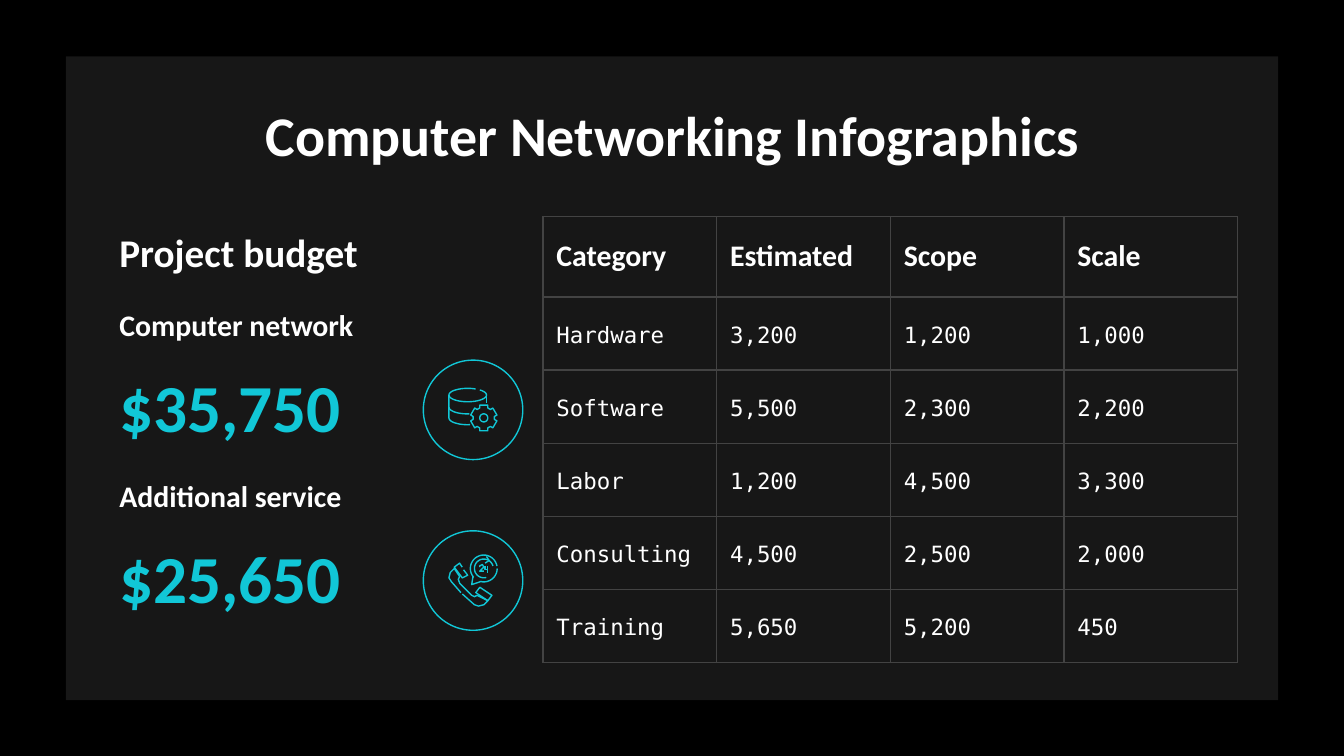
from dataclasses import dataclass
from math import asin, cos, degrees, radians, sin

from lxml import etree
from pptx import Presentation, util as u
from pptx.dml.color import RGBColor
from pptx.enum import shapes, text
from pptx.oxml.ns import qn


@dataclass(frozen=True)
class Theme:
    back: str = "000000"
    panel: str = "171717"
    ink: str = "FFFFFF"
    accent: str = "11C7D7"
    grid: str = "434343"
    head: str = "Calibri"
    body: str = "DejaVu Sans Mono"
    title: int = 30
    section: int = 21
    label: int = 16
    cell: int = 12
    figure: int = 36
    stroke: float = 0.75


def rgb(code):
    return RGBColor.from_string(code)


def arc(mid, wide, high, start, end):
    steps = max(6, int(abs(end - start) / 10))
    turns = [radians(start + (end - start) * i / steps) for i in range(steps + 1)]
    return [(mid[0] + wide * cos(t), mid[1] + high * sin(t)) for t in turns]


def gear(mid, outer, inner, half, teeth):
    pts = []
    for i in range(teeth):
        turn = 360 / teeth * i - 90
        for rad, side in ((inner, -1), (outer, -1), (outer, 1), (inner, 1)):
            t = radians(turn + side * degrees(asin(half / rad)))
            pts.append((mid[0] + rad * cos(t), mid[1] + rad * sin(t)))
    return pts


def write(frame, words, size, font, color, bold=True,
          align=text.PP_ALIGN.LEFT, lead=None, after=None):
    para = frame.paragraphs[0]
    para.alignment = align
    para.line_spacing = lead
    para.space_after = after
    run = para.add_run()
    run.text = words
    run.font.size = u.Pt(size)
    run.font.name = font
    run.font.bold = bold
    run.font.color.rgb = rgb(color)


class Deck:
    def __init__(self, theme):
        self.theme = theme
        self.file = Presentation()
        self.file.slide_width = u.Inches(10)
        self.file.slide_height = u.Inches(10 * 9 / 16)
        self.slide = self.file.slides.add_slide(self.file.slide_layouts[6])
        fill = self.slide.background.fill
        fill.solid()
        fill.fore_color.rgb = rgb(theme.back)

    def outline(self, shape):
        shape.shadow.inherit = False
        shape.fill.background()
        shape.line.color.rgb = rgb(self.theme.accent)
        shape.line.width = u.Pt(self.theme.stroke)

    def panel(self, *area):
        box = self.slide.shapes.add_shape(
            shapes.MSO_SHAPE.RECTANGLE, *map(u.Inches, area))
        box.shadow.inherit = False
        box.fill.solid()
        box.fill.fore_color.rgb = rgb(self.theme.panel)
        box.line.fill.background()

    def label(self, words, area, size, color=None,
              anchor=text.MSO_ANCHOR.BOTTOM, **form):
        frame = self.slide.shapes.add_textbox(*map(u.Inches, area)).text_frame
        frame.word_wrap = True
        frame.vertical_anchor = anchor
        frame.margin_left = frame.margin_right = u.Inches(0.1)
        frame.margin_top = frame.margin_bottom = u.Inches(0.1)
        write(frame, words, size, self.theme.head, color or self.theme.ink, **form)

    def ring(self, left, top, size):
        self.outline(self.slide.shapes.add_shape(
            shapes.MSO_SHAPE.OVAL, *map(u.Inches, (left, top, size, size))))

    def icon(self, *lines):
        group = self.slide.shapes.add_group_shape()
        for pts, close in lines:
            spots = [(u.Inches(x), u.Inches(y)) for x, y in pts]
            pen = group.shapes.build_freeform(*spots[0])
            pen.add_line_segments(spots[1:], close=close)
            self.outline(pen.convert_to_shape())

    def border(self, cell):
        props = cell._tc.get_or_add_tcPr()
        for spot, side in enumerate(("lnL", "lnR", "lnT", "lnB")):
            line = etree.Element(qn("a:" + side), w=str(u.Pt(self.theme.stroke)))
            fill = etree.SubElement(line, qn("a:solidFill"))
            etree.SubElement(fill, qn("a:srgbClr"), val=self.theme.grid)
            props.insert(spot, line)

    def table(self, rows, area, top):
        look = self.theme
        grid = self.slide.shapes.add_table(
            len(rows), len(rows[0]), *map(u.Inches, area)).table
        grid.first_row = grid.horz_banding = False
        rest = (area[3] - top) / (len(rows) - 1)
        for r, row in enumerate(rows):
            grid.rows[r].height = u.Inches(rest if r else top)
            for c, words in enumerate(row):
                cell = grid.cell(r, c)
                cell.fill.background()
                cell.vertical_anchor = text.MSO_ANCHOR.MIDDLE
                cell.margin_left = cell.margin_right = u.Inches(0.1)
                cell.margin_top = cell.margin_bottom = u.Inches(0.1)
                self.border(cell)
                if r:
                    write(cell.text_frame, words, look.cell, look.body, look.ink,
                          bold=False, lead=1.15, after=u.Pt(12))
                else:
                    write(cell.text_frame, words, look.label, look.head, look.ink)


def store(deck):
    disk, cog = (3.48, 2.94), (3.6, 3.11)
    deck.icon(
        (arc(disk, 0.14, 0.05, -50, 250), False),
        (arc(disk, 0.14, 0.05, 250, 295), False),
        ([(3.62, 2.94), (3.62, 3)], False),
        ([(3.34, 2.94)] + arc((3.48, 3.11), 0.14, 0.05, 180, 83), False),
        (arc((3.48, 3.03), 0.14, 0.05, 180, 85), False),
        (gear(cog, 0.1, 0.08, 0.03, 6), True),
        (arc(cog, 0.03, 0.03, 0, 350), True),
    )


def phone(deck):
    dial = (3.6, 4.23)
    deck.icon(
        (arc(dial, 0.1, 0.1, -10, -220)
         + [(3.52, 4.29), (3.51, 4.35), (3.57, 4.33)]
         + arc(dial, 0.1, 0.1, 105, 0), False),
        (arc(dial, 0.07, 0.07, -15, -285), False),
        ([(3.62, 4.14), (3.64, 4.17), (3.61, 4.19)], False),
        ([(3.57, 4.22), (3.57, 4.21), (3.59, 4.2), (3.6, 4.22),
          (3.57, 4.25), (3.6, 4.25)], False),
        ([(3.61, 4.21), (3.61, 4.24), (3.63, 4.24)], False),
        ([(3.63, 4.21), (3.63, 4.26)], False),
        ([(3.43, 4.41), (3.36, 4.33), (3.34, 4.3), (3.35, 4.26), (3.38, 4.23),
          (3.42, 4.29), (3.41, 4.31), (3.42, 4.34), (3.51, 4.43), (3.53, 4.44),
          (3.55, 4.43), (3.63, 4.47), (3.6, 4.5), (3.56, 4.51), (3.53, 4.5),
          (3.44, 4.42)], False),
        ([(3.44, 4.22), (3.42, 4.19), (3.38, 4.22), (3.44, 4.3),
          (3.48, 4.28), (3.45, 4.24)], False),
        ([(3.57, 4.37), (3.66, 4.43), (3.63, 4.47), (3.54, 4.41)], True),
    )


def main():
    look = Theme()
    deck = Deck(look)
    deck.panel(0.49, 0.42, 9.02, 4.79)
    deck.label("Computer Networking Infographics", (0.79, 0.65, 8.43, 0.63),
               look.title, anchor=text.MSO_ANCHOR.TOP, align=text.PP_ALIGN.CENTER)
    deck.table([
        ("Category", "Estimated", "Scope", "Scale"),
        ("Hardware", "3,200", "1,200", "1,000"),
        ("Software", "5,500", "2,300", "2,200"),
        ("Labor", "1,200", "4,500", "3,300"),
        ("Consulting", "4,500", "2,500", "2,000"),
        ("Training", "5,650", "5,200", "450"),
    ], (4.04, 1.61, 5.17, 3.32), 0.6)

    left, wide, step = 0.79, 2.37, 1.27
    deck.label("Project budget", (left, 1.6, wide, 0.55), look.section)
    costs = (("Computer network", "$35,750", store),
             ("Additional service", "$25,650", phone))
    for i, (name, cost, draw) in enumerate(costs):
        top = 2.28 + i * step
        deck.label(name, (left, top, wide, 0.37), look.label)
        deck.label(cost, (left, top + 0.39, wide, 0.75), look.figure, look.accent)
        deck.ring(3.15, top + 0.4, 0.74)
        draw(deck)
    deck.file.save("out.pptx")


if __name__ == "__main__":
    main()
